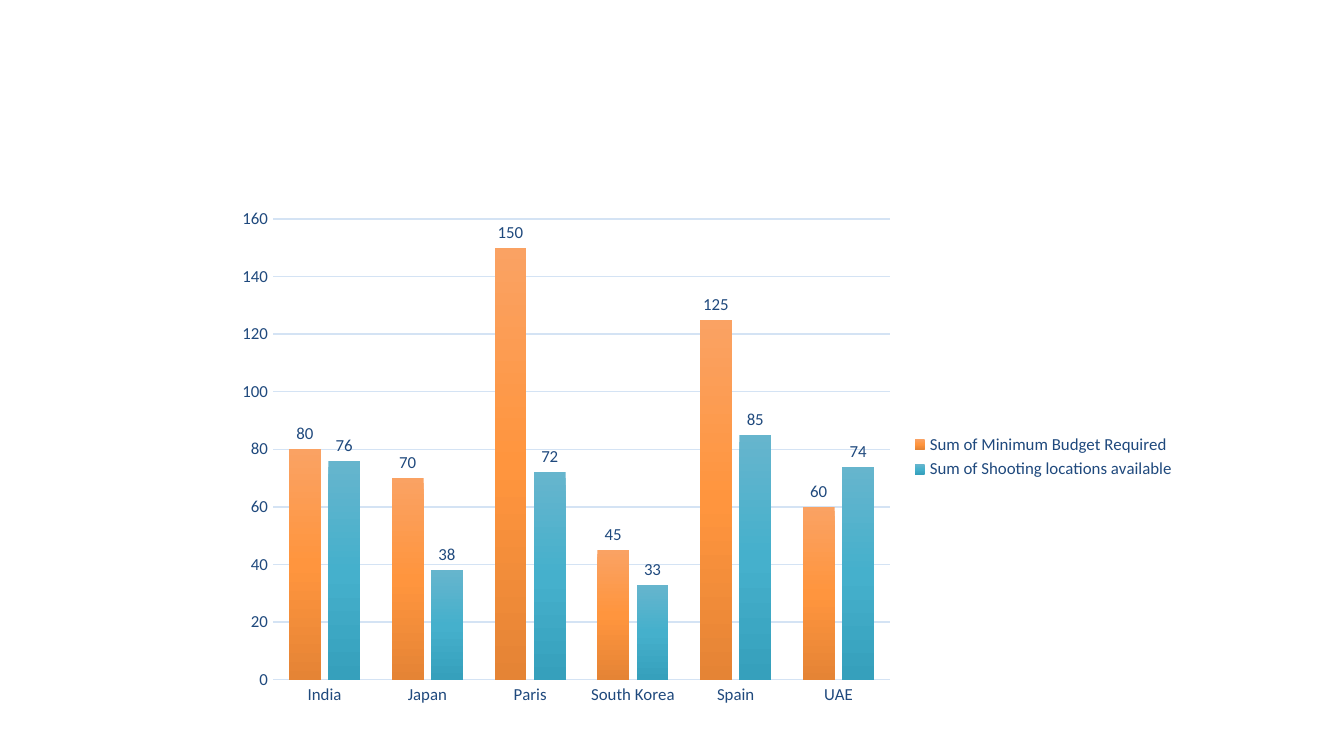
from copy import deepcopy

from pptx import Presentation
from pptx.chart.data import CategoryChartData
from pptx.dml.color import RGBColor
from pptx.enum.chart import (
    XL_CHART_TYPE as ChartType,
    XL_LABEL_POSITION as LabelPos,
    XL_LEGEND_POSITION as LegendPos,
    XL_TICK_MARK as Tick,
)
from pptx.util import Inches, Pt

FONT = "Calibri"
NAVY = "1F497D"
PALE_BLUE = "D4E3F4"
COUNTRIES = ["India", "Japan", "Paris", "South Korea", "Spain", "UAE"]
SERIES = [
    ("Sum of Minimum Budget Required", [80, 70, 150, 45, 125, 60],
     ["FAA263", "FF953E", "E58435"]),
    ("Sum of Shooting locations available", [76, 38, 72, 33, 85, 74],
     ["66B5CD", "45B0CC", "36A0BC"]),
]


def rgb(value):
    return RGBColor.from_string(value)


def style_font(font, size=9, color=NAVY):
    font.name = FONT
    font.size = Pt(size)
    font.bold = False
    font.color.rgb = rgb(color)


def style_line(line):
    line.color.rgb = rgb(PALE_BLUE)
    line.width = Pt(0.75)


def fill_gradient(series, colors):
    fill = series.format.fill
    fill.gradient()
    fill.gradient_angle = 270
    stop_list = series._element.spPr.xpath(".//a:gsLst")[0]
    stop_list.insert(1, deepcopy(stop_list[0]))
    for i, (stop, color) in enumerate(zip(fill.gradient_stops, colors)):
        stop.position = i / (len(colors) - 1)
        stop.color.rgb = rgb(color)


def style_axes(chart):
    for axis in (chart.category_axis, chart.value_axis):
        axis.major_tick_mark = Tick.NONE
        axis.minor_tick_mark = Tick.NONE
        style_font(axis.tick_labels.font)
    style_line(chart.category_axis.format.line)
    chart.value_axis.format.line.fill.background()
    chart.value_axis.has_major_gridlines = True
    style_line(chart.value_axis.major_gridlines.format.line)


def add_budget_chart(s, left, top, width, height):
    data = CategoryChartData()
    data.categories = COUNTRIES
    for name, values, _ in SERIES:
        data.add_series(name, values)
    chart = s.shapes.add_chart(
        ChartType.COLUMN_CLUSTERED, left, top, width, height, data).chart
    style_font(chart.font, 10, "000000")
    chart.has_title = False
    chart.has_legend = True
    chart.legend.position = LegendPos.RIGHT
    chart.legend.include_in_layout = False
    style_font(chart.legend.font)
    style_axes(chart)

    plot = chart.plots[0]
    plot.gap_width = 100
    plot.overlap = -24
    plot.vary_by_categories = False
    for series, (_, _, colors) in zip(plot.series, SERIES):
        fill_gradient(series, colors)
        labels = series.data_labels
        labels.show_value = True
        labels.position = LabelPos.OUTSIDE_END
        style_font(labels.font)


def main():
    prs = Presentation()
    prs.slide_width = Inches(10)
    prs.slide_height = prs.slide_width * 9 // 16
    s = prs.slides.add_slide(prs.slide_layouts[6])
    add_budget_chart(s, Inches(1.66), Inches(1.48), Inches(7.18), Inches(3.84))
    prs.save("out.pptx")


if __name__ == "__main__":
    main()
